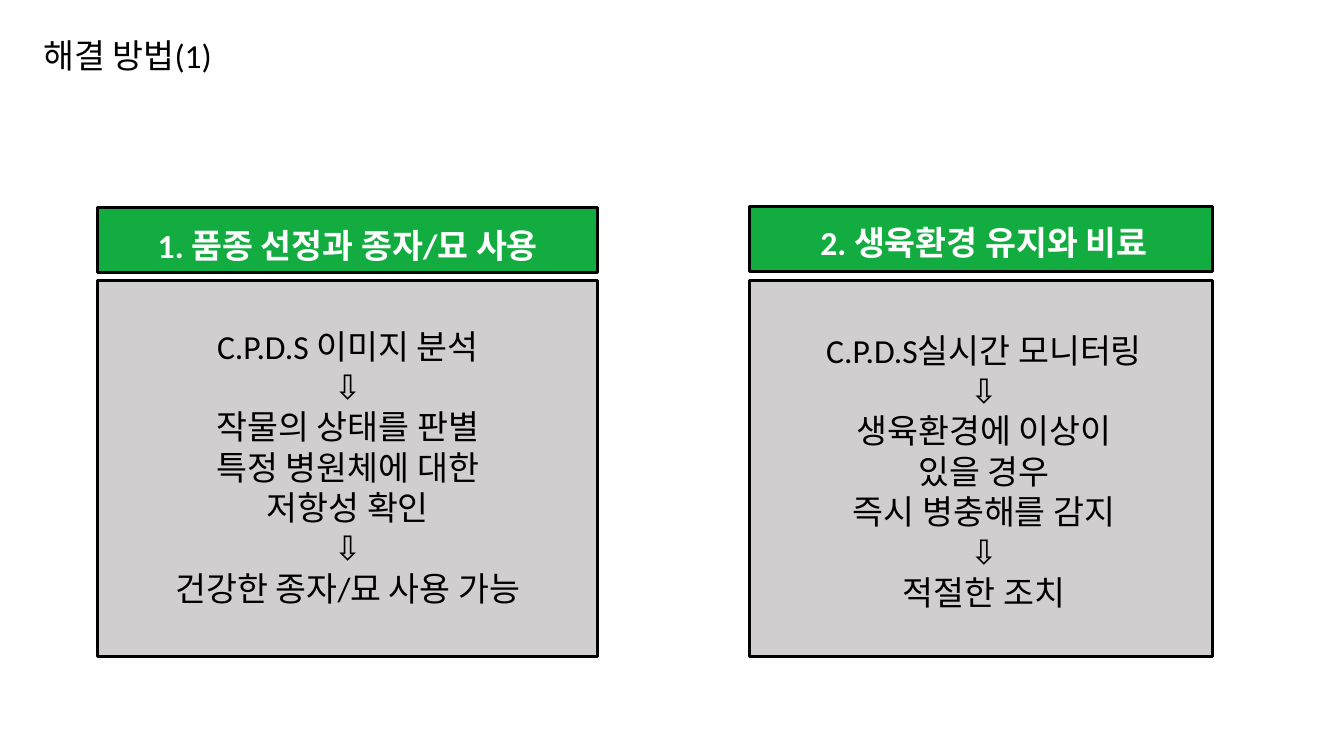
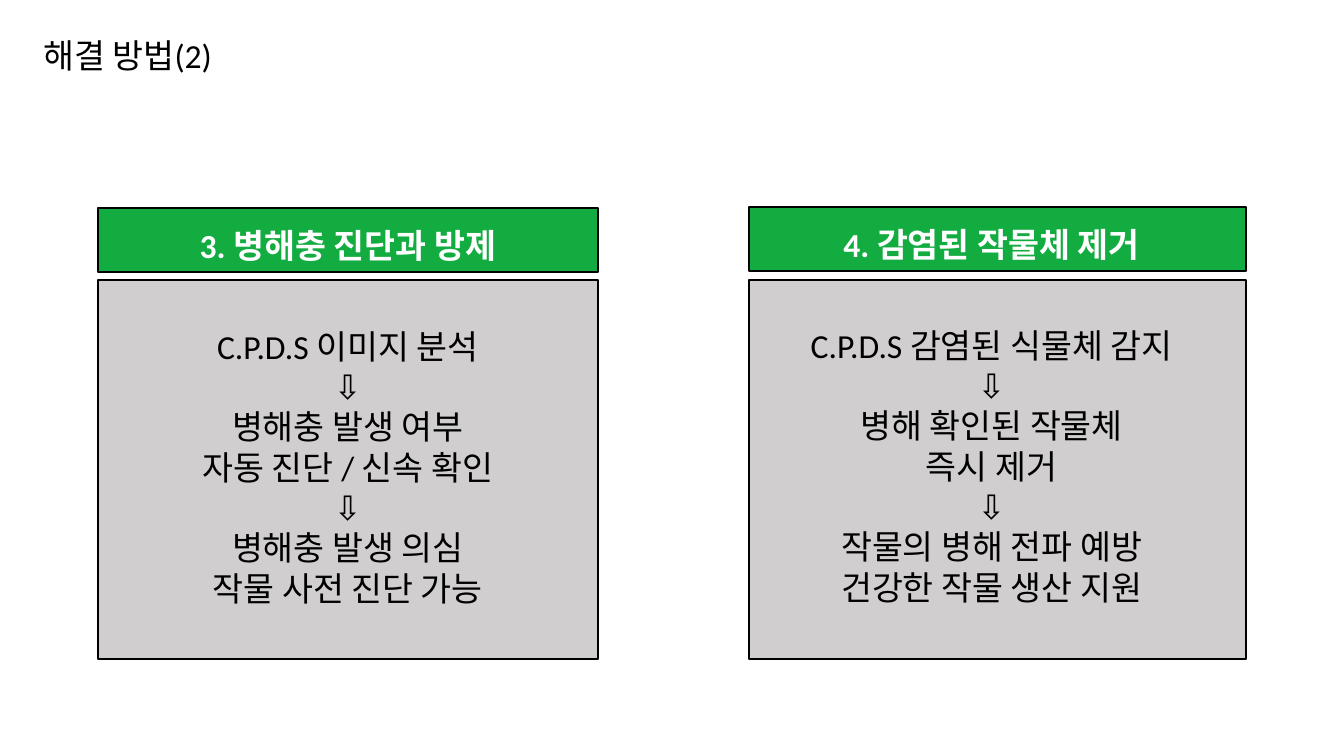
from pptx import Presentation
from pptx.dml.color import RGBColor
from pptx.enum.shapes import MSO_SHAPE
from pptx.enum.text import MSO_ANCHOR, MSO_AUTO_SIZE, PP_ALIGN
from pptx.util import Inches, Pt

RECT = MSO_SHAPE.RECTANGLE
TOP = MSO_ANCHOR.TOP
FIXED = MSO_AUTO_SIZE.NONE
LEFT, CENTER = PP_ALIGN.LEFT, PP_ALIGN.CENTER

# Content: each panel has a heading, steps, width, text drops and text shift
SLIDES = [
    {"title": "해결 방법(1)", "line": 2.25, "tall": 3.73, "panels": [
        {"head": "1. 품종 선정과 종자/묘 사용",
         "steps": ["C.P.D.S 이미지 분석", "⇩", "작물의 상태를 판별",
                   "특정 병원체에 대한", "저항성 확인", "⇩",
                   "건강한 종자/묘 사용 가능"],
         "wide": 4.96, "drops": (0.17, 0.45), "shift": 0},
        {"head": "2. 생육환경 유지와 비료",
         "steps": ["C.P.D.S실시간 모니터링", "⇩", "생육환경에 이상이",
                   "있을 경우", "즉시 병충해를 감지", "⇩", "적절한 조치"],
         "wide": 4.6, "drops": (0.15, 0.49), "shift": 0.03},
    ]},
    {"title": "해결 방법(2)", "line": 1.5, "tall": 3.76, "panels": [
        {"head": "3. 병해충 진단과 방제",
         "steps": ["C.P.D.S 이미지 분석", "⇩", "병해충 발생 여부",
                   "자동 진단 / 신속 확인", "⇩", "병해충 발생 의심",
                   "작물 사전 진단 가능"],
         "wide": 4.96, "drops": (0.17, 0.45), "shift": 0},
        {"head": "4. 감염된 작물체 제거",
         "steps": ["C.P.D.S 감염된 식물체 감지", "⇩", "병해 확인된 작물체",
                   "즉시 제거", "⇩", "작물의 병해 전파 예방",
                   "건강한 작물 생산 지원"],
         "wide": 4.93, "drops": (0.17, 0.44), "shift": -0.06},
    ]},
]

# Shared style
COLORS = {"band": "13AC40", "body": "D0CECE", "ink": "000000", "light": "FFFFFF"}
FONT, SIZE = "Calibri", 24
COLS = [(0.97, 2.06), (7.43, 2.05)]  # left and band top of each column
BAND, BODY_TOP = 0.64, 2.78


def rgb(name):
    return RGBColor.from_string(COLORS[name])


def write(shape, lines, color="ink", bold=False, align=CENTER, pads=(0, 0, 0, 0)):
    frame = shape.text_frame
    frame.auto_size = FIXED
    frame.word_wrap = True
    frame.vertical_anchor = TOP
    (frame.margin_left, frame.margin_top,
     frame.margin_right, frame.margin_bottom) = map(Inches, pads)
    for i, line in enumerate(lines):
        para = frame.paragraphs[0] if i == 0 else frame.add_paragraph()
        para.alignment = align
        run = para.add_run()
        run.text = line
        font = run.font
        font.name, font.size, font.bold = FONT, Pt(SIZE), bold
        font.color.rgb = rgb(color)


def add_box(slide, place, fill, line):
    box = slide.shapes.add_shape(RECT, *map(Inches, place))
    box.shadow.inherit = False
    box.fill.solid()
    box.fill.fore_color.rgb = rgb(fill)
    box.line.color.rgb = rgb("ink")
    box.line.width = Pt(line)
    return box


def add_panel(slide, panel, col, line, tall):
    left, top = col
    wide, shift = panel["wide"], panel["shift"]
    # A one-sided inset moves centred text by half its width
    near, far = max(0, 2 * shift), max(0, -2 * shift)
    head_drop, body_drop = panel["drops"]
    band = add_box(slide, (left, top, wide, BAND), "band", line)
    write(band, [panel["head"]], color="light", bold=True,
          pads=(near, head_drop, far, 0))
    body = add_box(slide, (left, BODY_TOP, wide, tall), "body", line)
    write(body, panel["steps"], pads=(near, body_drop, far, 0))


def add_title(slide, text):
    title = slide.shapes.title
    title.left, title.top, title.width, title.height = map(
        Inches, (0.33, 0.3, 2.35, 0.5))
    write(title, [text], align=LEFT, pads=(0.1, 0.05, 0.1, 0.05))


def main():
    deck = Presentation()
    deck.slide_width, deck.slide_height = Inches(13.33), Inches(7.5)
    layout = deck.slide_layouts.get_by_name("Title Only")
    for page in SLIDES:
        slide = deck.slides.add_slide(layout)
        add_title(slide, page["title"])
        for panel, col in zip(page["panels"], COLS):
            add_panel(slide, panel, col, page["line"], page["tall"])
    deck.save("out.pptx")


if __name__ == "__main__":
    main()
